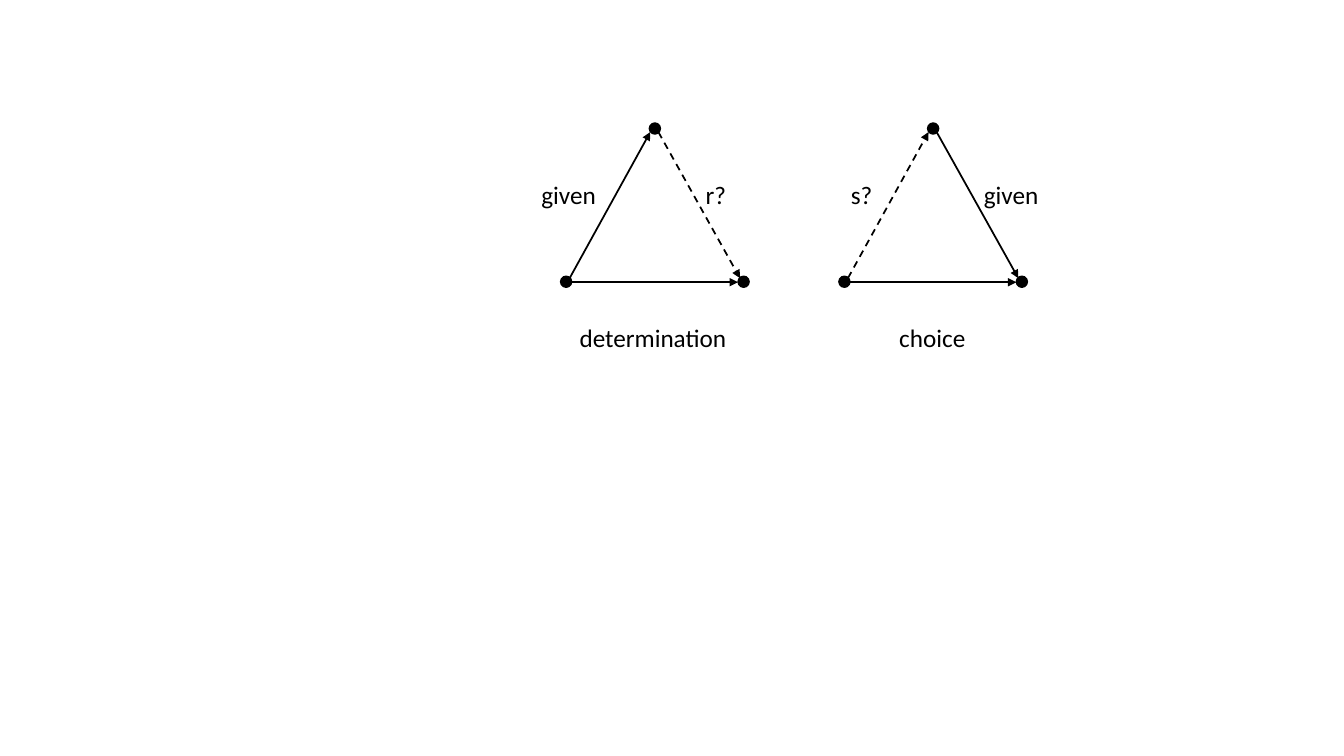
from lxml import etree
from pptx import Presentation
from pptx import util as u
from pptx.dml.color import RGBColor
from pptx.enum import dml, shapes, text
from pptx.oxml import ns

COLORS = {"ink": "000000"}
INK = RGBColor.from_string(COLORS["ink"])
FONT = {"name": "Calibri", "size": u.Pt(18)}
FRAME = {"word_wrap": True, "auto_size": text.MSO_AUTO_SIZE.SHAPE_TO_FIT_TEXT}
DOT_SIZE = 0.11
DOTS = [(0, 2.74), (1.76, 2.74), (0.88, 1.22)]
ARROWS = {
    "rising": ((0.09, 2.76), (0.89, 1.31)),
    "base": ((0.11, 2.8), (1.76, 2.8)),
    "falling": ((0.97, 1.31), (1.78, 2.76)),
}
TRIANGLES = [
    {
        "left": 5.56,
        "dashed": "falling",
        "labels": [("given", -0.29, 1.73, 0.79), ("r?", 1.34, 1.73, 0.95),
                   ("determination", 0.09, 3.15, 1.7)],
    },
    {
        "left": 8.32,
        "dashed": "rising",
        "labels": [("s?", 0.02, 1.73, 0.43), ("given", 1.34, 1.73, 0.95),
                   ("choice", 0.5, 3.15, 0.91)],
    },
]


def apply(target, values):
    for name, value in values.items():
        setattr(target, name, value)


def add_dot(page, left, top):
    dot = page.shapes.add_shape(
        shapes.MSO_SHAPE.OVAL, u.Inches(left), u.Inches(top),
        u.Inches(DOT_SIZE), u.Inches(DOT_SIZE))
    dot.shadow.inherit = False
    dot.fill.solid()
    dot.fill.fore_color.rgb = INK
    dot.line.color.rgb = INK
    dot.line.width = u.Pt(1)


def add_arrow(page, left, start, end, dashed):
    arrow = page.shapes.add_connector(
        shapes.MSO_CONNECTOR.STRAIGHT,
        u.Inches(left + start[0]), u.Inches(start[1]),
        u.Inches(left + end[0]), u.Inches(end[1]))
    arrow.line.color.rgb = INK
    arrow.line.width = u.Pt(1.25)
    if dashed:
        arrow.line.dash_style = dml.MSO_LINE.DASH
    properties = arrow.line._get_or_add_ln()
    etree.SubElement(properties, ns.qn("a:tailEnd"), type="triangle")
    etree.SubElement(properties.getparent(), ns.qn("a:effectLst"))


def add_label(page, wording, left, top, width):
    box = page.shapes.add_textbox(
        u.Inches(left), u.Inches(top), u.Inches(width), u.Inches(0.4))
    apply(box.text_frame, FRAME)
    span = box.text_frame.paragraphs[0].add_run()
    span.text = wording
    apply(span.font, FONT)
    span.font.color.rgb = INK


def add_triangle(page, left, dashed, labels):
    for offset, top in DOTS:
        add_dot(page, left + offset, top)
    for side, (start, end) in ARROWS.items():
        add_arrow(page, left, start, end, side == dashed)
    for wording, offset, top, width in labels:
        add_label(page, wording, left + offset, top, width)


def main():
    deck = Presentation()
    apply(deck, {"slide_width": u.Inches(13.33), "slide_height": u.Inches(7.5)})
    page = deck.slides.add_slide(deck.slide_layouts[6])
    for triangle in TRIANGLES:
        add_triangle(page, **triangle)
    deck.save("out.pptx")


if __name__ == "__main__":
    main()
